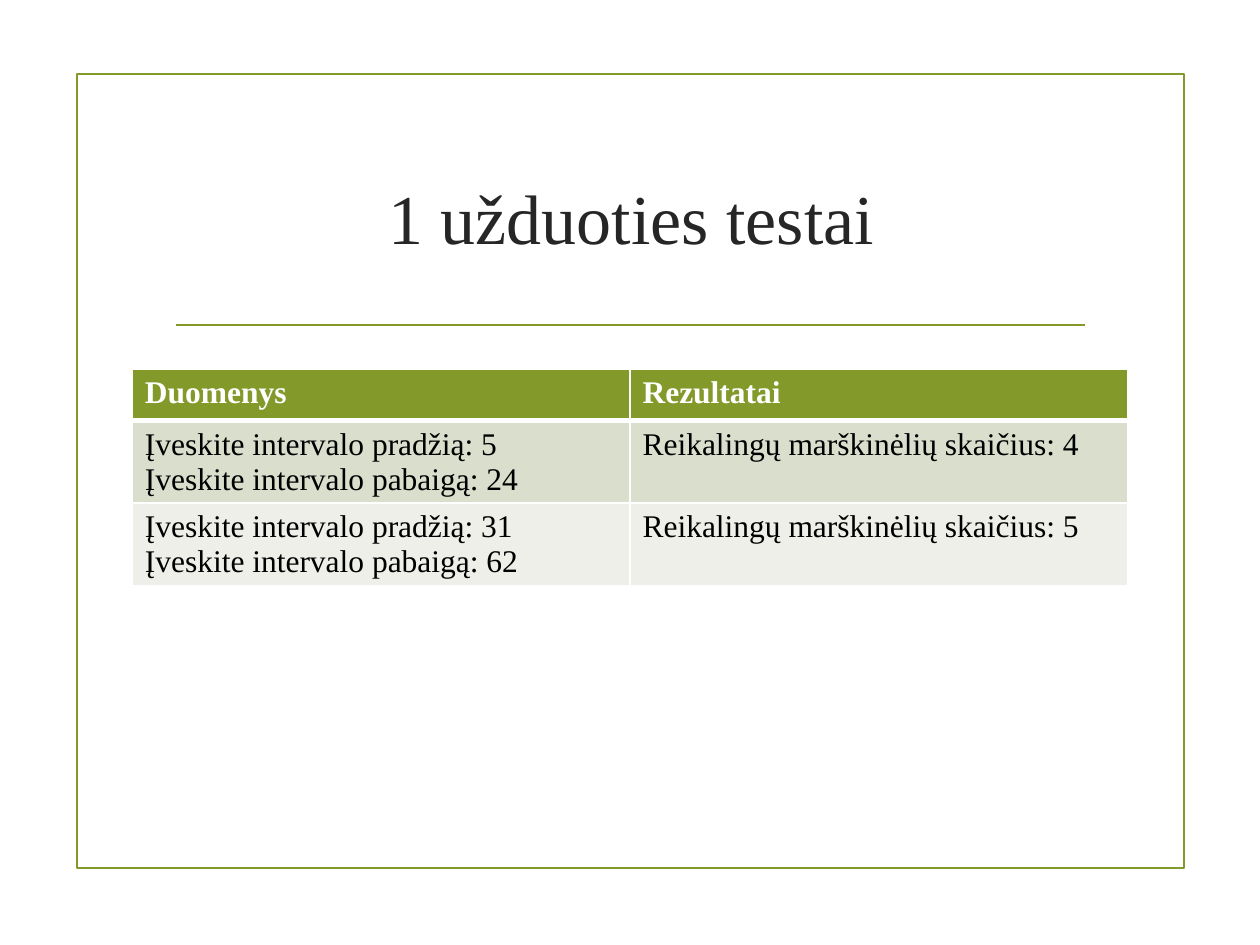
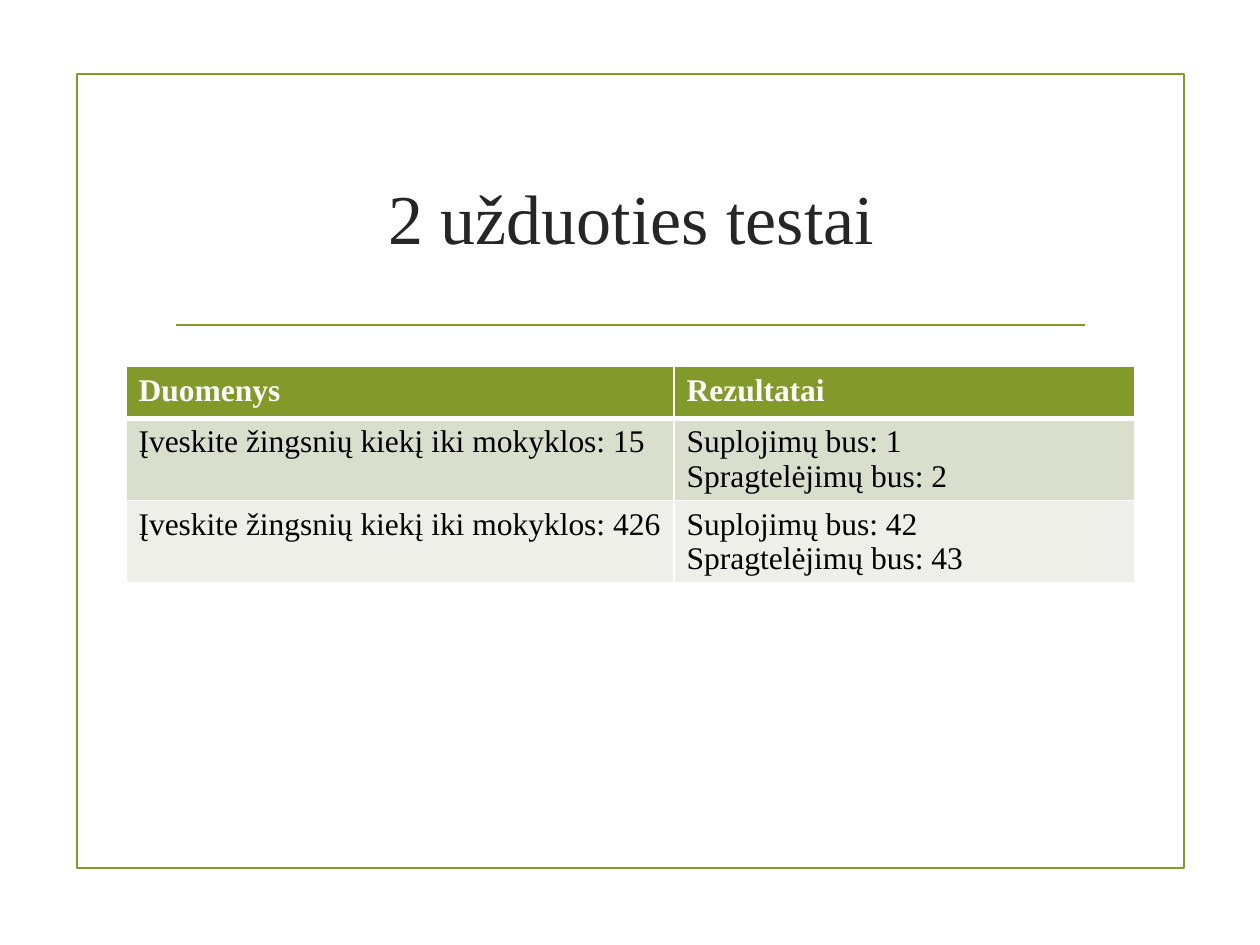
from lxml import etree
from pptx import Presentation
from pptx.dml.color import RGBColor
from pptx.enum.shapes import MSO_CONNECTOR, MSO_SHAPE
from pptx.enum.text import MSO_ANCHOR, PP_ALIGN
from pptx.oxml.ns import qn
from pptx.util import Inches, Pt

STRAIGHT = MSO_CONNECTOR.STRAIGHT
RECTANGLE = MSO_SHAPE.RECTANGLE
MIDDLE = MSO_ANCHOR.MIDDLE
CENTER = PP_ALIGN.CENTER
TITLE_ONLY = 5

COLORS = {
    "accent": "83992A",
    "title": "262626",
    "text": "000000",
    "white": "FFFFFF",
    "band_dark": "D9DECD",
    "band_light": "EDEFE8",
}


class Deck:
    font = "Times New Roman"
    line_width = Pt(1.25)

    def __init__(self):
        self.prs = Presentation()
        self.prs.slide_width = Inches(10)
        self.prs.slide_height = Inches(7.5)
        self.s = None

    def color(self, name):
        return RGBColor.from_string(COLORS[name])

    def format_text(self, tf, size, color, bold=False):
        for p in tf.paragraphs:
            for r in p.runs:
                r.font.name = self.font
                r.font.size = Pt(size)
                r.font.bold = bold
                r.font.color.rgb = self.color(color)

    def add_slide(self, title):
        self.s = self.prs.slides.add_slide(self.prs.slide_layouts[TITLE_ONLY])
        self.add_frame()
        self.add_rule()
        self.add_title(title)

    def add_frame(self):
        sp = self.s.shapes.add_shape(
            RECTANGLE, Inches(0.61), Inches(0.59), Inches(8.79), Inches(6.3))
        sp.shadow.inherit = False
        sp.fill.background()
        sp.line.color.rgb = self.color("accent")
        sp.line.width = self.line_width

    def add_rule(self):
        y = Inches(2.58)
        rule = self.s.shapes.add_connector(
            STRAIGHT, Inches(1.4), y, Inches(8.61), y)
        rule.line.color.rgb = self.color("accent")
        rule.line.width = self.line_width
        etree.SubElement(rule._element.spPr, qn("a:effectLst"))

    def add_title(self, text):
        sp = self.s.shapes.title
        sp.left, sp.top = Inches(1.29), Inches(1)
        sp.width, sp.height = Inches(7.44), Inches(1.43)
        tf = sp.text_frame
        tf.text = text
        tf.word_wrap = True
        tf.vertical_anchor = MIDDLE
        tf.paragraphs[0].alignment = CENTER
        self.format_text(tf, 40, "title")

    def set_borders(self, cell, widths):
        tc_pr = cell._tc.get_or_add_tcPr()
        for side, width in widths.items():
            ln = etree.SubElement(tc_pr, qn(f"a:ln{side}"), w=str(Pt(width)))
            fill = etree.SubElement(ln, qn("a:solidFill"))
            etree.SubElement(fill, qn("a:srgbClr"), val=COLORS["white"])

    def add_table(self, left, top, col_widths, rows):
        heights = [0.41] + [0.65] * (len(rows) - 1)
        table = self.s.shapes.add_table(
            len(rows), len(col_widths), Inches(left), Inches(top),
            Inches(sum(col_widths)), Inches(sum(heights))).table
        for column, width in zip(table.columns, col_widths):
            column.width = Inches(width)
        for i, texts in enumerate(rows):
            table.rows[i].height = Inches(heights[i])
            header = i == 0
            band = "band_dark" if i % 2 else "band_light"
            borders = {"L": 1, "R": 1, "T": 3 if i == 1 else 1,
                       "B": 3 if header else 1}
            for j, text in enumerate(texts):
                cell = table.cell(i, j)
                self.set_borders(cell, borders)
                cell.fill.solid()
                cell.fill.fore_color.rgb = self.color(
                    "accent" if header else band)
                cell.text_frame.text = text
                self.format_text(cell.text_frame, 18,
                                 "white" if header else "text", header)


HEADER = ("Duomenys", "Rezultatai")


def interval_test(start, end, shirts):
    return (f"Įveskite intervalo pradžią: {start}\n"
            f"Įveskite intervalo pabaigą: {end}",
            f"Reikalingų marškinėlių skaičius: {shirts}")


def steps_test(steps, claps, snaps):
    return (f"Įveskite žingsnių kiekį iki mokyklos: {steps}",
            f"Suplojimų bus: {claps}\nSpragtelėjimų bus: {snaps}")


def main():
    deck = Deck()

    deck.add_slide("1 užduoties testai")
    deck.add_table(1.05, 2.93, (3.95, 3.95), [
        HEADER, interval_test(5, 24, 4), interval_test(31, 62, 5)])

    deck.add_slide("2 užduoties testai")
    deck.add_table(1, 2.91, (4.35, 3.66), [
        HEADER, steps_test(15, 1, 2), steps_test(426, 42, 43)])

    deck.prs.save("out.pptx")


if __name__ == "__main__":
    main()
